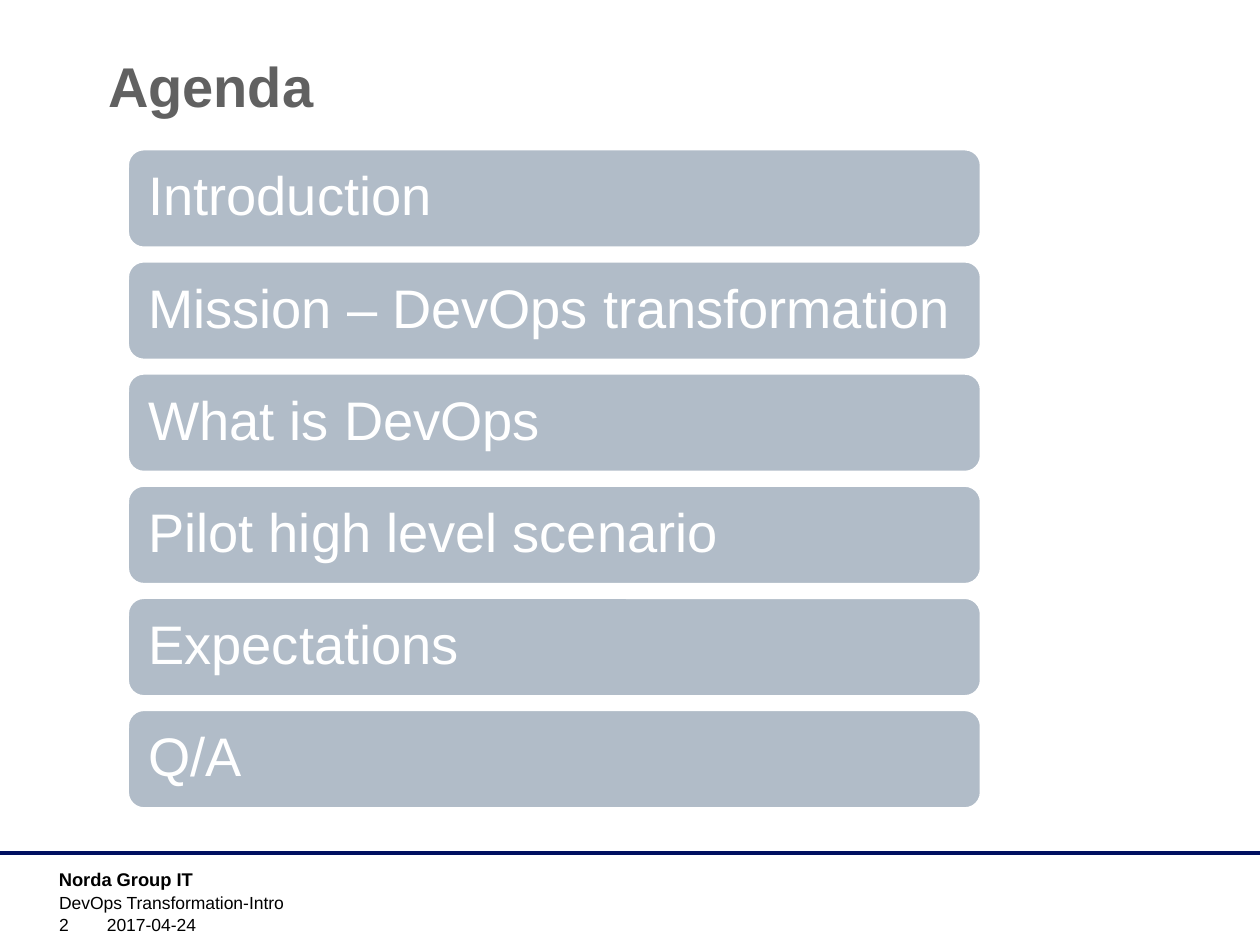
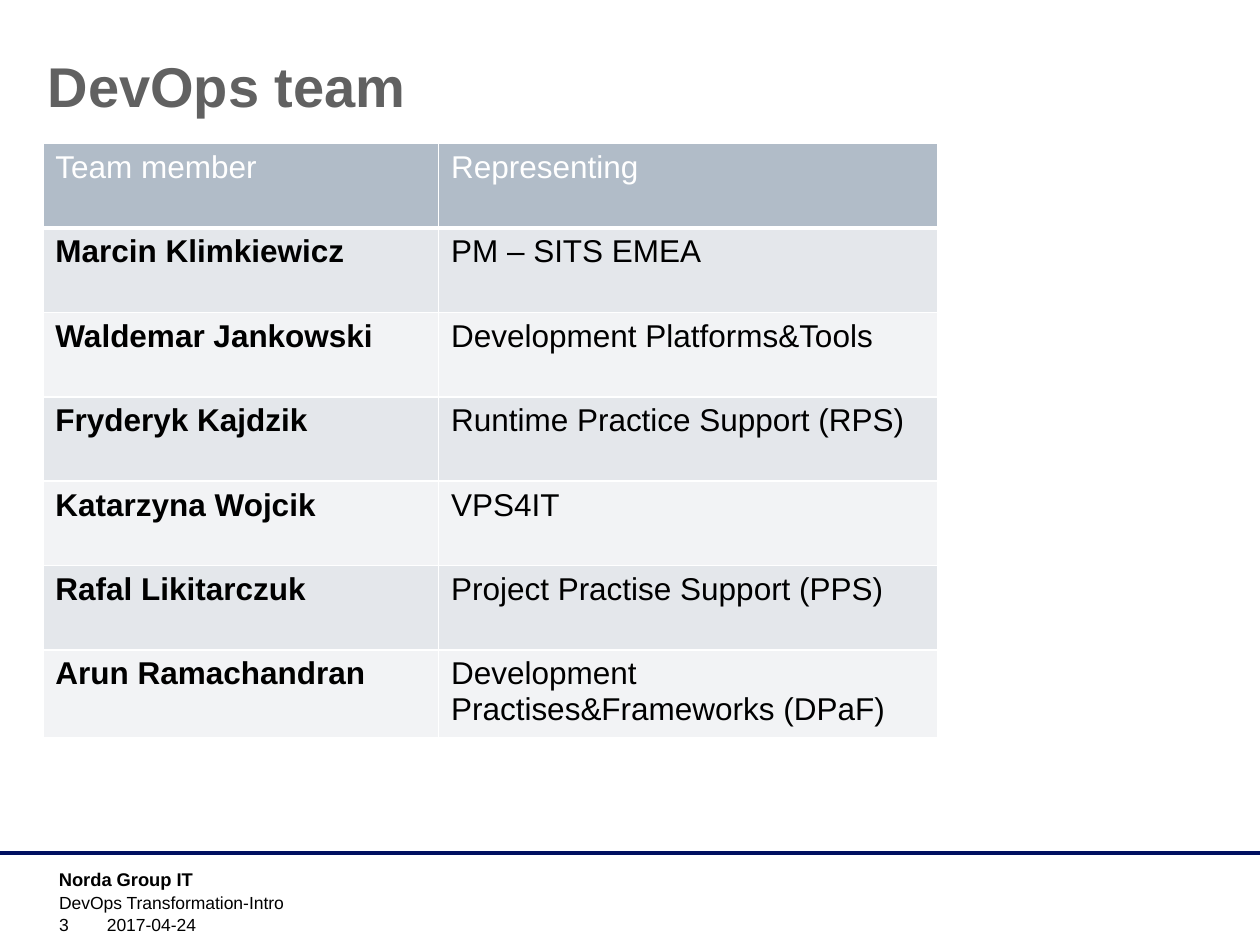
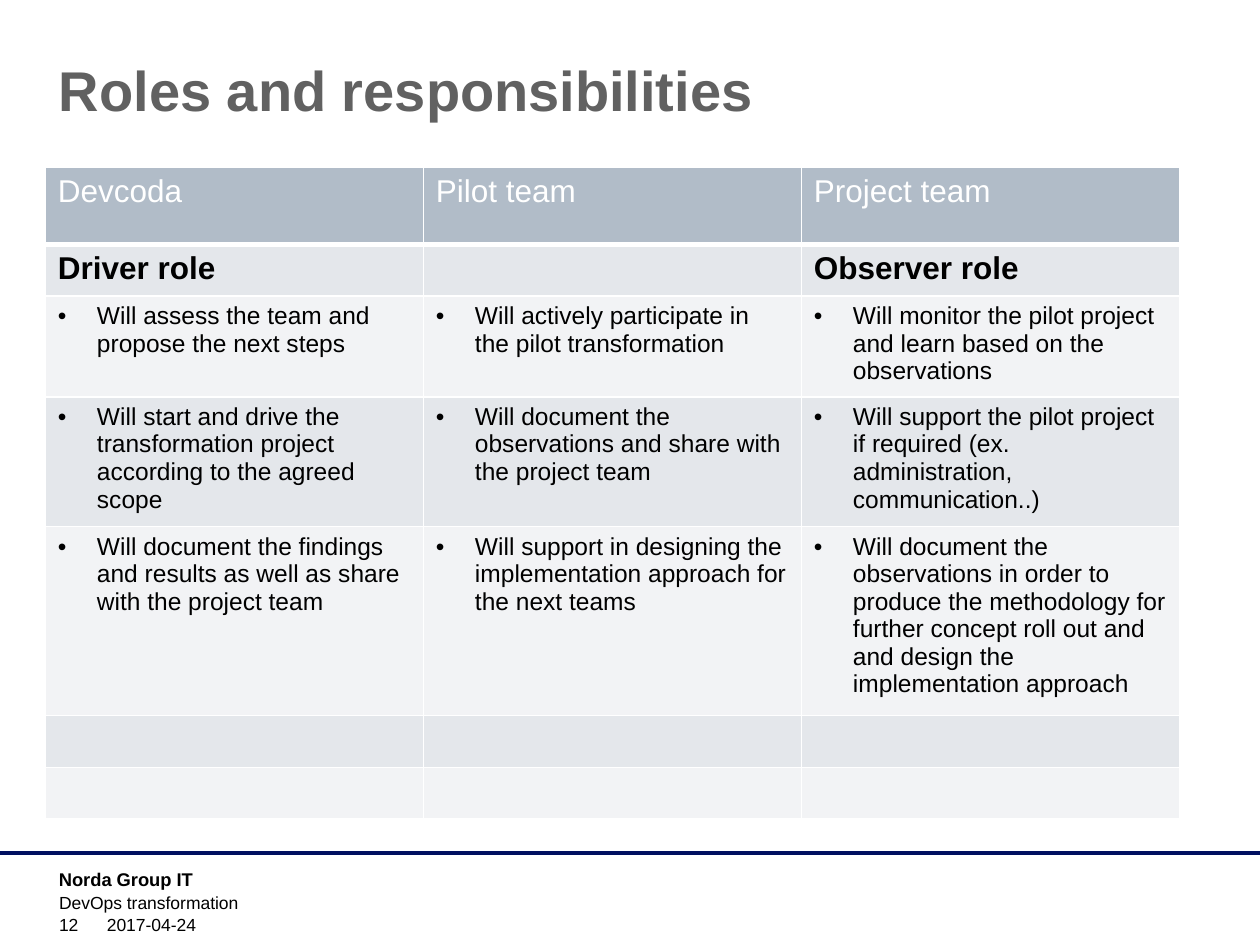
from lxml import etree
from pptx import Presentation
from pptx.dml.color import RGBColor
from pptx.enum import shapes, text
from pptx.oxml import ns
from pptx.util import Inches, Pt

NAVY = RGBColor(0x00, 0x0F, 0x60)
STEEL = RGBColor(0xB1, 0xBC, 0xC8)
BAND_DARK = RGBColor(0xE4, 0xE7, 0xEB)
BAND_LIGHT = RGBColor(0xF2, 0xF3, 0xF5)
GRAY = RGBColor(0x61, 0x61, 0x61)
BLACK = RGBColor(0, 0, 0)
WHITE = RGBColor(0xFF, 0xFF, 0xFF)
FONT = "Arial"
COMPANY = "Norda Group IT"
DATE = "2017-04-24"


def write(frame, words, size=18, color=BLACK, bold=False, bullet=False,
          line_spacing=None):
    """Put one formatted paragraph into a text frame."""
    para = frame.paragraphs[0]
    para.alignment = text.PP_ALIGN.LEFT
    if line_spacing:
        para.line_spacing = line_spacing
    run = para.add_run()
    run.text = words
    run.font.name, run.font.size, run.font.bold = FONT, Pt(size), bold
    run.font.color.rgb = color
    if bullet:
        props = para._p.get_or_add_pPr()
        props.set("marL", str(Inches(0.31)))
        props.set("indent", str(-Inches(0.31)))
        etree.SubElement(props, ns.qn("a:buFont"), typeface=FONT)
        etree.SubElement(props, ns.qn("a:buChar"), char="•")


def label(slide, box, words, anchor=text.MSO_ANCHOR.TOP, wrap=True, **style):
    """Add a text box; box is left, top, width, height in inches."""
    frame = slide.shapes.add_textbox(*map(Inches, box)).text_frame
    frame.word_wrap = wrap
    frame.vertical_anchor = anchor
    write(frame, words, **style)


def title(slide, box, words):
    label(slide, box, words, size=32, color=GRAY, bold=True)


def footer(slide, subject, number):
    # Rule across the slide
    rule = slide.shapes.add_connector(
        shapes.MSO_CONNECTOR.STRAIGHT,
        Inches(0), Inches(6.77), Inches(10), Inches(6.77))
    rule.line.color.rgb = NAVY
    rule.line.width = Pt(2)
    etree.SubElement(rule._element.spPr, ns.qn("a:effectLst"))
    # Company, subject, page number and date
    bottom = text.MSO_ANCHOR.BOTTOM
    label(slide, (0.37, 6.84, 2.33, 0.24), COMPANY, wrap=False, size=10.5,
          bold=True)
    label(slide, (0.37, 7.03, 7.52, 0.24), subject, size=10)
    label(slide, (0.37, 7.24, 0.55, 0.23), str(number), bottom, size=10)
    label(slide, (0.75, 7.24, 2.63, 0.23), DATE, bottom, size=10)


def agenda_bars(slide, box, topics, gap=0.1):
    """Stack equal rounded bars over the height of the box."""
    left, top, width, height = box
    bar_height = (height - gap * (len(topics) - 1)) / len(topics)
    for i, topic in enumerate(topics):
        bar = slide.shapes.add_shape(
            shapes.MSO_SHAPE.ROUNDED_RECTANGLE, Inches(left),
            Inches(top + i * (bar_height + gap)), Inches(width),
            Inches(bar_height))
        bar.shadow.inherit = False
        bar.fill.solid()
        bar.fill.fore_color.rgb = STEEL
        bar.line.color.rgb = WHITE
        bar.line.width = Pt(2)
        frame = bar.text_frame
        frame.word_wrap = True
        frame.vertical_anchor = text.MSO_ANCHOR.MIDDLE
        frame.margin_left = frame.margin_right = Inches(0.13)
        frame.margin_top = frame.margin_bottom = Inches(0.13)
        write(frame, topic, size=31, color=WHITE, line_spacing=0.9)


def cell_borders(cell, bottom=1):
    props = cell._tc.get_or_add_tcPr()
    for side, width in (("L", 1), ("R", 1), ("T", 1), ("B", bottom)):
        line = etree.SubElement(props, ns.qn(f"a:ln{side}"), w=str(Pt(width)))
        fill = etree.SubElement(line, ns.qn("a:solidFill"))
        etree.SubElement(fill, ns.qn("a:srgbClr"), val=str(WHITE))


def banded_table(slide, left, top, col_widths, row_heights, rows, body_style):
    """Header row plus banded rows; body_style(row, col) gives the format."""
    table = slide.shapes.add_table(
        len(rows), len(col_widths), Inches(left), Inches(top),
        Inches(sum(col_widths)), Inches(sum(row_heights))).table
    table.first_row = table.horz_banding = False
    for column, width in zip(table.columns, col_widths):
        column.width = Inches(width)
    for r, (words_in_row, height) in enumerate(zip(rows, row_heights)):
        table.rows[r].height = Inches(height)
        for c, words in enumerate(words_in_row):
            cell = table.cell(r, c)
            cell_borders(cell, bottom=3 if r == 0 else 1)
            cell.fill.solid()
            cell.fill.fore_color.rgb = (
                STEEL if r == 0 else BAND_DARK if r % 2 else BAND_LIGHT)
            if words:
                style = {"color": WHITE} if r == 0 else body_style(r, c)
                write(cell.text_frame, words, **style)


def agenda_slide(slide):
    title(slide, (0.76, 0.36, 5.5, 0.57), "Agenda")
    agenda_bars(slide, (1.01, 1.18, 6.78, 5.24), [
        "Introduction", "Mission – DevOps transformation", "What is DevOps",
        "Pilot high level scenario", "Expectations", "Q/A"])
    footer(slide, "DevOps Transformation-Intro", 2)


def team_slide(slide):
    title(slide, (0.28, 0.36, 5.5, 0.81), "DevOps team")
    members = [
        ("Team member", "Representing"),
        ("Marcin Klimkiewicz", "PM – SITS EMEA"),
        ("Waldemar Jankowski", "Development Platforms&Tools"),
        ("Fryderyk Kajdzik", "Runtime Practice Support (RPS)"),
        ("Katarzyna Wojcik", "VPS4IT"),
        ("Rafal Likitarczuk", "Project Practise Support (PPS)"),
        ("Arun Ramachandran", "Development Practises&Frameworks (DPaF)"),
    ]
    banded_table(slide, 0.34, 1.14, [3.14, 3.96], [0.67] * len(members),
                 members, lambda r, c: {"bold": c == 0})
    footer(slide, "DevOps Transformation-Intro", 3)


def roles_slide(slide):
    roles = [
        ("Devcoda", "Pilot team", "Project team"),
        ("Driver role", "", "Observer role"),
        ("Will assess the team and propose the next steps",
         "Will actively participate in the pilot transformation",
         "Will monitor the pilot project and learn based on the observations"),
        ("Will start and drive the transformation project according to the "
         "agreed scope",
         "Will document the observations and share with the project team",
         "Will support the pilot project if required (ex. administration, "
         "communication..)"),
        ("Will document the findings and results as well as share with the "
         "project team",
         "Will support in designing the implementation approach for the next "
         "teams",
         "Will document the observations in order to produce the methodology "
         "for further concept roll out and and design the implementation "
         "approach"),
        ("", "", ""),
        ("", "", ""),
    ]
    banded_table(
        slide, 0.36, 1.33, [3] * 3, [0.61, 0.41, 0.8, 1.03, 1.5, 0.41, 0.41],
        roles, lambda r, c: {"bold": True} if r == 1
        else {"size": 14, "bullet": True})
    title(slide, (0.37, 0.39, 9, 1.25), "Roles and responsibilities")
    footer(slide, "DevOps transformation", 12)


deck = Presentation()
deck.slide_width, deck.slide_height = Inches(10), Inches(7.5)
for build in (agenda_slide, team_slide, roles_slide):
    build(deck.slides.add_slide(deck.slide_layouts[6]))
deck.save("out.pptx")
